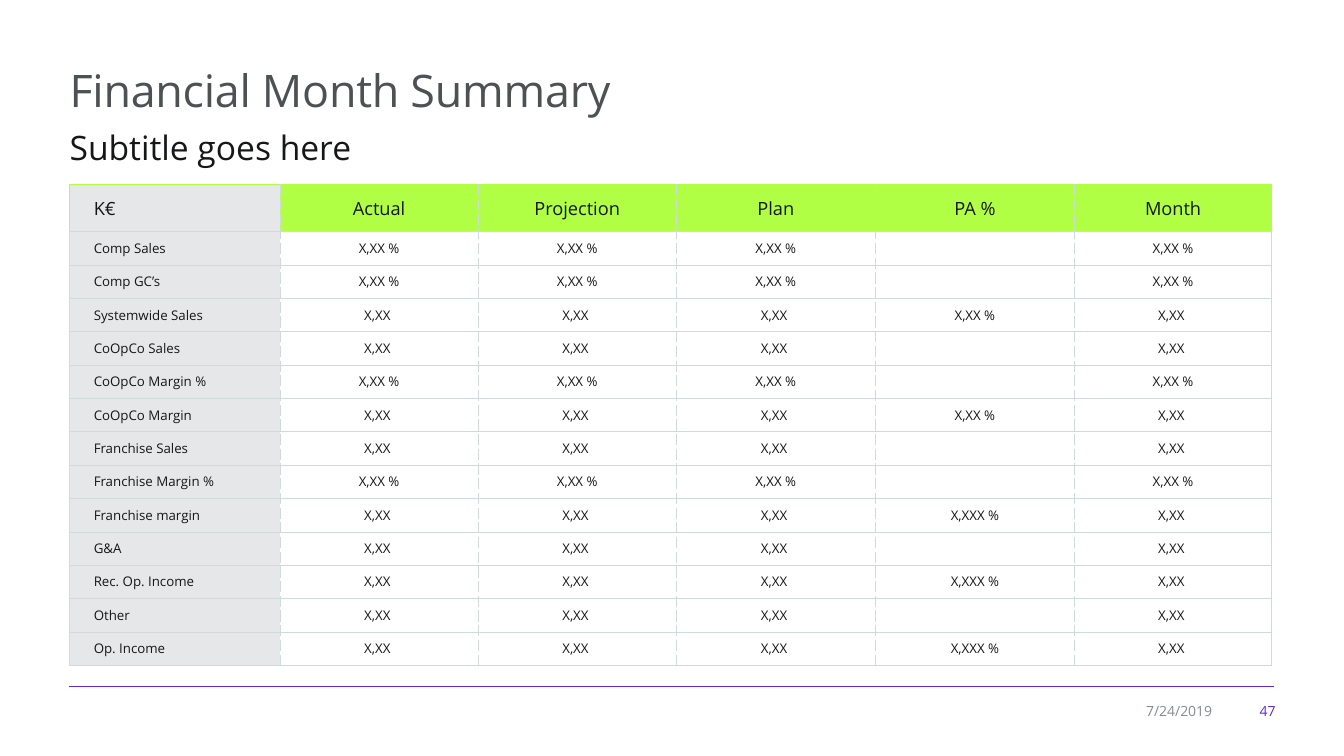
from lxml import etree
from pptx import Presentation
from pptx.dml.color import RGBColor
from pptx.enum.shapes import MSO_CONNECTOR
from pptx.enum.text import MSO_ANCHOR, PP_ALIGN
from pptx.oxml.ns import qn
from pptx.util import Inches, Pt

STRAIGHT = MSO_CONNECTOR.STRAIGHT
MIDDLE, TOP = MSO_ANCHOR.MIDDLE, MSO_ANCHOR.TOP
LEFT, CENTER, RIGHT = PP_ALIGN.LEFT, PP_ALIGN.CENTER, PP_ALIGN.RIGHT
FONT = "Open Sans"
COLORS = {
    "title": "4D5154", "text": "161718", "muted": "868B90", "accent": "622AD8",
    "header": "B0FF45", "label": "E6E7E8", "body": "FFFFFF", "grid": "D1DADB",
}
HEADINGS = ["K€", "Actual", "Projection", "Plan", "PA %", "Month"]
PERCENT, AMOUNT = "X,XX %", "X,XX "
MEASURES = [
    ("Comp Sales", PERCENT, ""),
    ("Comp GC’s", PERCENT, ""),
    ("Systemwide Sales", AMOUNT, "X,XX %"),
    ("CoOpCo Sales", AMOUNT, ""),
    ("CoOpCo Margin %", PERCENT, ""),
    ("CoOpCo Margin", AMOUNT, "X,XX %"),
    ("Franchise Sales", AMOUNT, ""),
    ("Franchise Margin %", PERCENT, ""),
    ("Franchise margin", AMOUNT, "X,XXX %"),
    ("G&A", AMOUNT, ""),
    ("Rec. Op. Income", AMOUNT, "X,XXX %"),
    ("Other", AMOUNT, ""),
    ("Op. Income", AMOUNT, "X,XXX %"),
]
COLUMN_WIDTHS = [2.09, 1.96, 1.97, 1.97, 1.98, 1.95]
HEADER_HEIGHT = 0.47


def color(name):
    """Return the named colour."""
    return RGBColor.from_string(COLORS[name])


def place(shape, box):
    """Move a shape into a box given in inches."""
    shape.left, shape.top, shape.width, shape.height = map(Inches, box)


def write(frame, text, size, color_name, align=LEFT, anchor=MIDDLE):
    """Write one formatted paragraph into a text frame and return it."""
    frame.text = text
    frame.word_wrap = True
    frame.vertical_anchor = anchor
    para = frame.paragraphs[0]
    para.alignment = align
    for span in para.runs:
        span.font.size = Pt(size)
        span.font.name = FONT
        span.font.color.rgb = color(color_name)
    return para


def add_heading(page, title_box, subtitle_box):
    """Fill the title and subtitle placeholders."""
    title, subtitle = page.shapes.title, page.placeholders[1]
    place(title, title_box)
    para = write(title.text_frame, "Financial Month Summary", 32, "title")
    para.runs[0].font._element.set("spc", "-20")
    place(subtitle, subtitle_box)
    para = write(subtitle.text_frame, "Subtitle goes here", 24, "text", anchor=TOP)
    para.line_spacing = 1.17
    para.space_before, para.space_after = Pt(0), Pt(6)
    properties = para._p.get_or_add_pPr()
    properties.set("marL", "0")
    properties.set("indent", "0")
    etree.SubElement(properties, qn("a:buNone"))


def set_borders(cell, sides):
    """Draw the cell's left, right, top and bottom borders."""
    properties = cell._tc.get_or_add_tcPr()
    for index, (side, (color_name, dash)) in enumerate(zip("LRTB", sides)):
        line = etree.Element(qn(f"a:ln{side}"), w=str(Pt(0.5)))
        fill = etree.SubElement(line, qn("a:solidFill"))
        etree.SubElement(fill, qn("a:srgbClr"), val=COLORS[color_name])
        etree.SubElement(line, qn("a:prstDash"), val=dash)
        properties.insert(index, line)


def style_cell(cell, text, row, column):
    """Write and format one table cell according to its row and column."""
    is_header, is_label = row == 0, column == 0
    size = 13 if is_header else 9.5
    para = write(cell.text_frame, text, size, "text", LEFT if is_label else CENTER)
    if not text:
        etree.SubElement(para._p, qn("a:endParaRPr"), sz=str(int(size * 100)))
    cell.vertical_anchor = MIDDLE
    side_margin, end_margin = (0.1, 0.05) if is_header or is_label else (0, 0)
    cell.margin_left = Inches(0.24 if is_label else side_margin)
    cell.margin_right = Inches(side_margin)
    cell.margin_top = cell.margin_bottom = Inches(end_margin)
    cell.fill.solid()
    fill_name = "label" if is_label else "header" if is_header else "body"
    cell.fill.fore_color.rgb = color(fill_name)
    outer = ("header" if is_header else "grid", "solid")
    inner = ("grid", "dash")
    is_last = column == len(HEADINGS) - 1
    left, right = outer if is_label else inner, outer if is_last else inner
    set_borders(cell, [left, right, outer, outer])


def add_summary_table(page, box):
    """Add the table of monthly figures."""
    rows = [HEADINGS] + [
        [label, value, value, value, change, value] for label, value, change in MEASURES
    ]
    table = page.shapes.add_table(len(rows), len(HEADINGS), *map(Inches, box)).table
    table.first_row = table.horz_banding = False
    for column, width in zip(table.columns, COLUMN_WIDTHS):
        column.width = Inches(width)
    row_height = (box[3] - HEADER_HEIGHT) / len(MEASURES)
    for row_index, values in enumerate(rows):
        height = row_height if row_index else HEADER_HEIGHT
        table.rows[row_index].height = Inches(height)
        for column_index, text in enumerate(values):
            cell = table.cell(row_index, column_index)
            style_cell(cell, text, row_index, column_index)


def add_footer(page, box):
    """Add the rule, date and page number along the bottom."""
    left, top, width, height = box
    right = left + width
    rule = page.shapes.add_connector(
        STRAIGHT, Inches(left), Inches(top), Inches(right), Inches(top))
    rule.line.color.rgb = color("accent")
    rule.line.width = Pt(0.75)
    etree.SubElement(rule._element.spPr, qn("a:effectLst"))
    for text, offset, text_width, color_name in [
        ("47", -0.4, 0.51, "accent"), ("7/24/2019", -1.47, 0.95, "muted"),
    ]:
        label_box = (right + offset, top + 0.11, text_width, height - 0.11)
        label = page.shapes.add_textbox(*map(Inches, label_box))
        write(label.text_frame, text, 10, color_name, RIGHT)


def main():
    """Build and save the slide."""
    deck = Presentation()
    deck.slide_width, deck.slide_height = Inches(13.33), Inches(7.5)
    page = deck.slides.add_slide(deck.slide_layouts[1])
    add_heading(page, (0.59, 0.56, 12.16, 0.66), (0.59, 1.14, 12.03, 0.54))
    add_summary_table(page, (0.69, 1.83, 11.92, 4.77))
    add_footer(page, (0.68, 6.81, 11.96, 0.37))
    deck.save("out.pptx")


if __name__ == "__main__":
    main()
